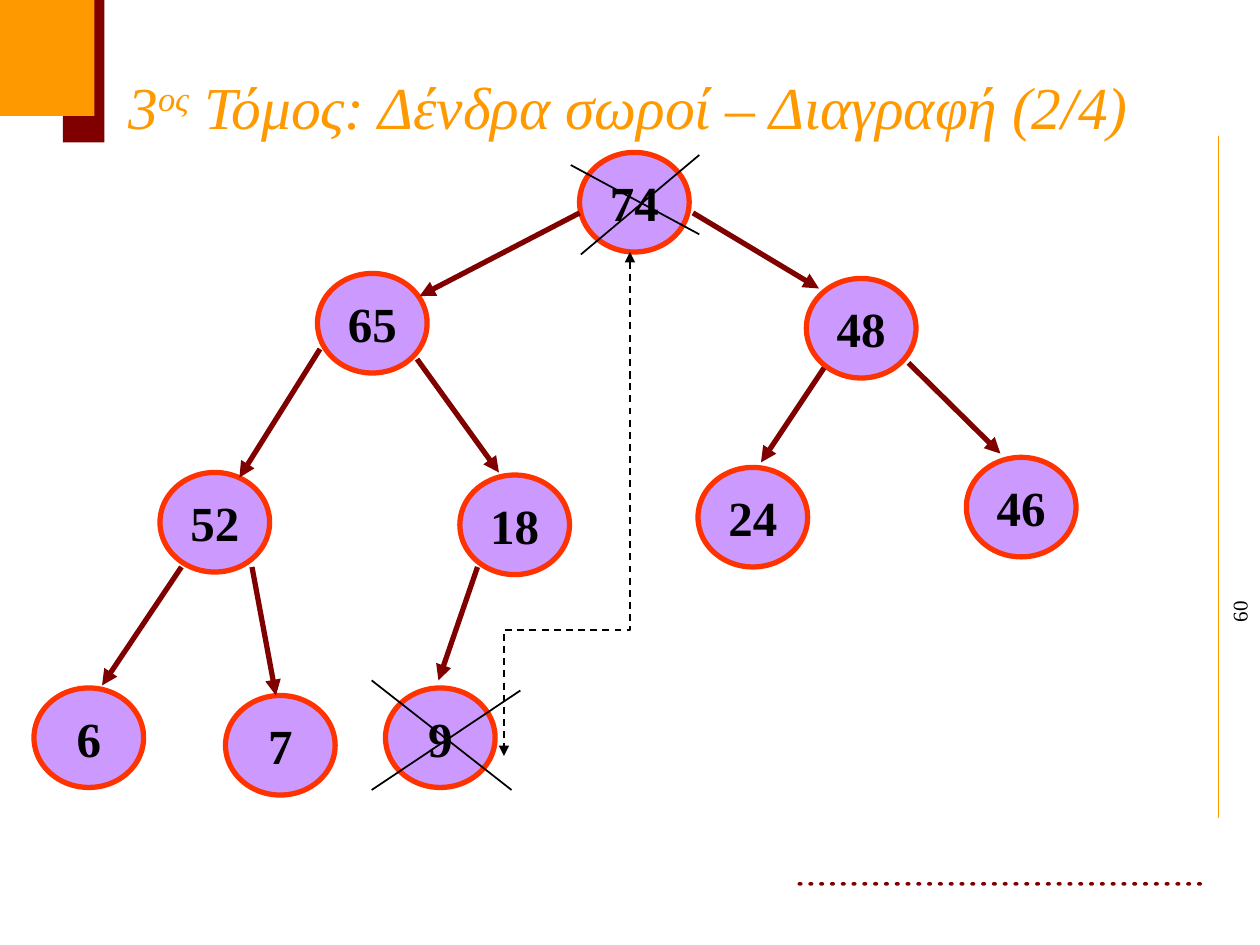
"""Draw the heap deletion slide with its tree, crosses and swap arc."""
from typing import NamedTuple

from pptx import Presentation
from pptx.dml.color import RGBColor as RGB
from pptx.enum.dml import MSO_LINE as Dash
from pptx.enum.shapes import MSO_CONNECTOR as Conn, MSO_SHAPE as Shape
from pptx.enum.text import MSO_ANCHOR as Anchor, PP_ALIGN as Align
from pptx.oxml.ns import qn
from pptx.util import Inches, Pt
from lxml.etree import SubElement

HUES = {
    "gold": "FF9900",
    "wine": "800000",
    "lilac": "CC99FF",
    "red": "FF3300",
    "black": "000000",
}
FACE = "Times New Roman"
HEAD = {"name": FACE, "size": Pt(34), "italic": True}
KEY = {"name": FACE, "size": Pt(28), "bold": True}
PAGE = {"name": FACE, "size": Pt(12)}
TIGHT = {f"margin_{side}": 0 for side in ("left", "right", "top", "bottom")}


class Node(NamedTuple):
    key: str
    x: float
    y: float


class Line(NamedTuple):
    x1: float
    y1: float
    x2: float
    y2: float


NODES = [
    Node("74", 4.6, 1.21), Node("65", 2.52, 2.17), Node("52", 1.27, 3.75),
    Node("6", 0.27, 5.46), Node("18", 3.65, 3.77), Node("7", 1.79, 5.52),
    Node("9", 3.06, 5.46), Node("48", 6.4, 2.21), Node("46", 7.67, 3.63),
    Node("24", 5.54, 3.71),
]
EDGES = [
    Line(4.6, 1.69, 3.33, 2.35), Line(2.54, 2.77, 1.9, 3.79),
    Line(1.44, 4.5, 0.81, 5.44), Line(3.31, 2.85, 3.96, 3.75),
    Line(2, 4.5, 2.19, 5.52), Line(3.79, 4.5, 3.48, 5.4),
    Line(5.5, 1.69, 6.5, 2.29), Line(7.21, 2.88, 7.94, 3.6),
    Line(6.54, 2.92, 6.04, 3.67),
]
CROSSES = [
    Line(5.55, 1.86, 4.53, 1.31), Line(5.55, 1.23, 4.61, 2.02),
    Line(4.06, 6.27, 2.95, 5.4), Line(4.13, 5.48, 2.95, 6.27),
]
CURVE = [(5.43, 2.26), (5.51, 3.36), (4.99, 4.61), (4.05, 5.57)]


def tint(hue: str) -> RGB:
    """Return the named colour."""
    return RGB.from_string(HUES[hue])


def apply(item, values: dict) -> None:
    """Set each named value on the item."""
    for name, value in values.items():
        setattr(item, name, value)


def stroke(shape, hue: str, width: float, ends: tuple = ()) -> None:
    """Style an outline and add its arrowheads."""
    shape.line.color.rgb = tint(hue)
    shape.line.width = Pt(width)
    for end in ends:
        SubElement(shape.line._get_or_add_ln(), qn(f"a:{end}"), type="triangle")


def block(shapes, kind, box: tuple, hue: str):
    """Add a filled preset shape without an outline."""
    shape = shapes.add_shape(kind, *map(Inches, box))
    shape.shadow.inherit = False
    shape.fill.solid()
    shape.fill.fore_color.rgb = tint(hue)
    shape.line.fill.background()
    return shape


def write(para, text: str, style: dict, hue: str):
    """Add a styled run to the paragraph."""
    run = para.add_run()
    run.text = text
    apply(run.font, style)
    run.font.color.rgb = tint(hue)
    return run


def link(shapes, line: Line, hue: str, width: float, ends: tuple = ()) -> None:
    """Add a straight line."""
    wire = shapes.add_connector(Conn.STRAIGHT, *map(Inches, line))
    SubElement(wire._element.spPr, qn("a:effectLst"))
    stroke(wire, hue, width, ends)
    effect = wire._element.spPr.find(qn("a:effectLst"))
    wire._element.spPr.append(effect)


def circle(shapes, node: Node) -> None:
    """Add a tree node with its key."""
    shape = block(shapes, Shape.OVAL, (node.x, node.y, 0.87, 0.79), "lilac")
    stroke(shape, "red", 3)
    frame = shape.text_frame
    apply(frame, {"word_wrap": False, "vertical_anchor": Anchor.MIDDLE})
    para = frame.paragraphs[0]
    para.alignment = Align.CENTER
    write(para, node.key, KEY, "black")


def bezier(t: float) -> tuple:
    """Return the point of the swap curve at t."""
    parts = ((1 - t) ** 3, 3 * t * (1 - t) ** 2, 3 * t * t * (1 - t), t ** 3)
    return tuple(sum(w * p[axis] for w, p in zip(parts, CURVE)) for axis in (0, 1))


def arc(shapes, steps: int = 32) -> None:
    """Add the dashed swap arc with two heads."""
    first, *rest = [bezier(n / steps) for n in range(steps + 1)]
    pen = shapes.build_freeform(*first, scale=Inches(1))
    pen.add_line_segments(rest, close=False)
    shape = pen.convert_to_shape()
    shape.shadow.inherit = False
    shape.fill.background()
    shape.line.dash_style = Dash.DASH
    stroke(shape, "black", 1, ("headEnd", "tailEnd"))


def frame(shapes) -> None:
    """Add the corner blocks, rule, dots and page number."""
    link(shapes, Line(9.67, 6.49, 9.67, 1.08), "gold", 1)
    box = shapes.add_textbox(*map(Inches, (9.6, 4.84, 0.47, 0.33)))
    box.rotation = 270
    apply(box.text_frame, TIGHT | {"word_wrap": True, "vertical_anchor": Anchor.MIDDLE})
    para = box.text_frame.paragraphs[0]
    para.alignment = Align.RIGHT
    write(para, "60", PAGE, "black")
    block(shapes, Shape.RECTANGLE, (0.5, 0, 0.33, 1.13), "wine")
    block(shapes, Shape.RECTANGLE, (0, 0, 0.75, 0.92), "gold")
    dots = shapes.add_group_shape().shapes
    for n in range(38):
        block(dots, Shape.OVAL, (6.33 + 3.17 * n / 37, 7, 0.04, 0.03), "wine")


def title(shapes) -> None:
    """Add the slide title with its raised suffix."""
    box = shapes.add_textbox(*map(Inches, (0.92, 0.5, 8.58, 0.67)))
    apply(box.text_frame, {"word_wrap": True, "vertical_anchor": Anchor.BOTTOM})
    para = box.text_frame.paragraphs[0]
    write(para, "3", HEAD, "gold")
    rise = write(para, "ος", HEAD, "gold")
    rise._r.get_or_add_rPr().set("baseline", "30000")
    write(para, " Τόμος: Δένδρα σωροί – Διαγραφή (2/4)", HEAD, "gold")


def main() -> None:
    """Build and save the slide."""
    deck = Presentation()
    apply(deck, {"slide_width": Inches(10), "slide_height": Inches(7.5)})
    shapes = deck.slides.add_slide(deck.slide_layouts[6]).shapes
    frame(shapes)
    title(shapes)
    for node in NODES:
        circle(shapes, node)
    for edge in EDGES:
        link(shapes, edge, "wine", 3, ("tailEnd",))
    for cross in CROSSES:
        link(shapes, cross, "black", 1)
    arc(shapes)
    deck.save("out.pptx")


if __name__ == "__main__":
    main()
